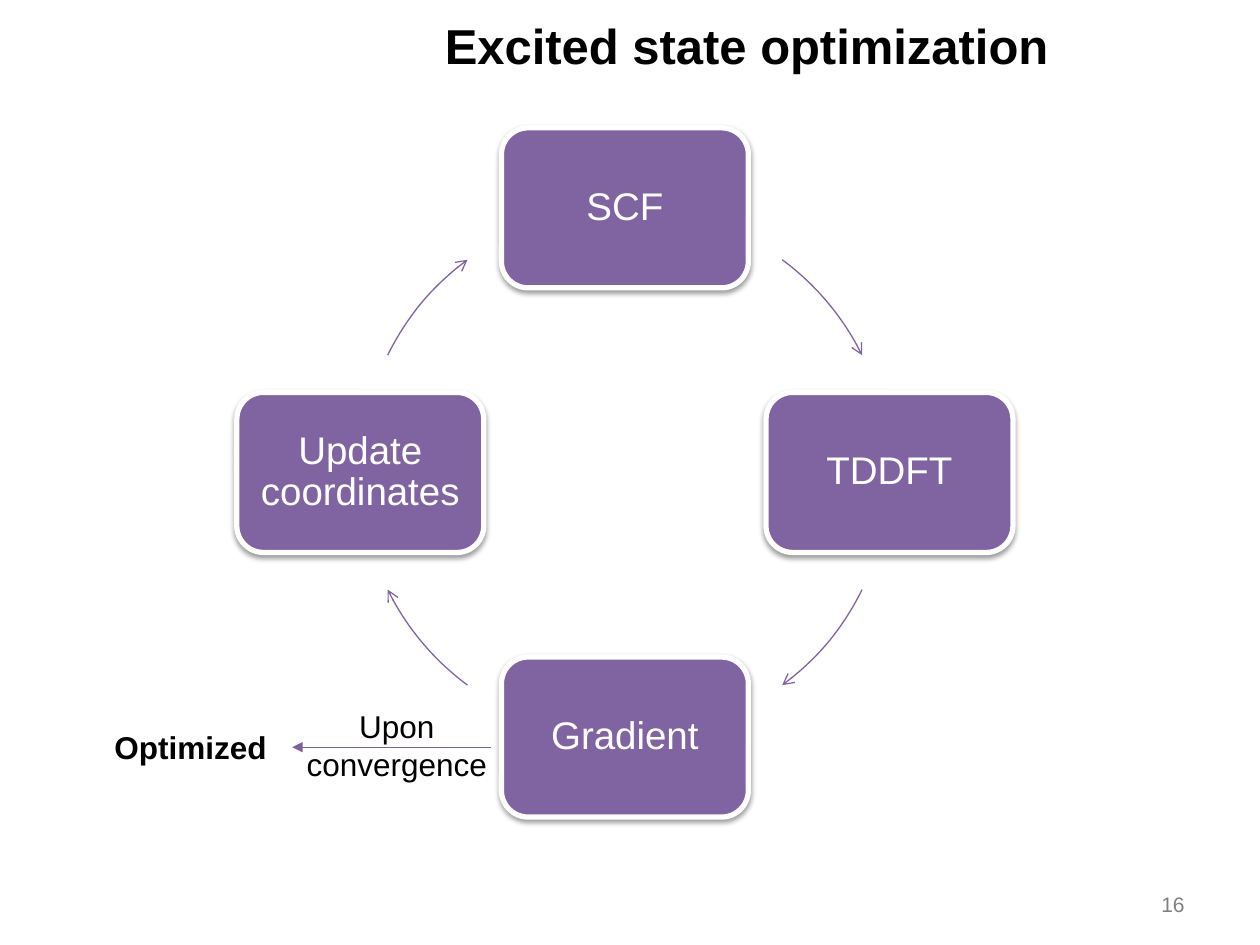
from lxml.etree import SubElement
from pptx import Presentation
from pptx.dml.color import RGBColor
from pptx.enum.shapes import MSO_CONNECTOR, MSO_SHAPE
from pptx.enum.text import MSO_ANCHOR, PP_ALIGN
from pptx.oxml import parse_xml
from pptx.oxml.ns import nsdecls, qn
from pptx.util import Inches, Pt

PURPLE = RGBColor(0x80, 0x64, 0xA2)
VIOLET = RGBColor(0x7D, 0x60, 0xA0)
WHITE = RGBColor(0xFF, 0xFF, 0xFF)
BLACK = RGBColor(0x00, 0x00, 0x00)
GRAY = RGBColor(0x80, 0x80, 0x80)

# Cycle geometry, in inches
MID_X, MID_Y, RADIUS = 4.96, 3.75, 2.1
BOX_W, BOX_H = 1.96, 1.27
STEPS = [("SCF", 0, -1), ("TDDFT", 1, 0),
         ("Gradient", 0, 1), ("Update coordinates", -1, 0)]
ARCS = [(306.5, 333.7), (26.3, 53.5), (126.5, 153.7), (206.3, 233.5)]


def write(shape, text, size=18, color=BLACK, bold=False, align=PP_ALIGN.LEFT,
          anchor=MSO_ANCHOR.TOP, wrap=True, inset=None, spacing=None):
    """Put formatted text into a shape."""
    frame = shape.text_frame
    frame.word_wrap = wrap
    frame.vertical_anchor = anchor
    if inset is not None:
        frame.margin_left = frame.margin_right = Inches(inset)
        frame.margin_top = frame.margin_bottom = Inches(inset)
    frame.text = text
    para = frame.paragraphs[0]
    para.alignment = align
    if spacing:
        para.line_spacing = spacing
    font = para.runs[0].font
    font.name, font.size, font.bold = "Arial", Pt(size), bold
    font.color.rgb = color


def add_label(slide, text, left, top, width, height, **style):
    area = [Inches(v) for v in (left, top, width, height)]
    write(slide.shapes.add_textbox(*area), text, **style)


def add_title(slide, text):
    title = slide.shapes.title
    title.left, title.top = Inches(3.43), Inches(0)
    title.width, title.height = Inches(6.07), Inches(0.71)
    write(title, text, size=28, bold=True, anchor=MSO_ANCHOR.MIDDLE)


def set_line(shape, color, kind):
    """Style a thin line with an arrowhead at its end."""
    shape.line.color.rgb = color
    shape.line.width = Pt(0.75)
    head = SubElement(shape.line._get_or_add_ln(), qn("a:tailEnd"))
    head.set("type", kind)


def add_step(slide, text, col, row):
    left = MID_X + col * RADIUS - BOX_W / 2
    top = MID_Y + row * RADIUS - BOX_H / 2
    box = slide.shapes.add_shape(
        MSO_SHAPE.ROUNDED_RECTANGLE,
        Inches(left), Inches(top), Inches(BOX_W), Inches(BOX_H))
    box.fill.solid()
    box.fill.fore_color.rgb = PURPLE
    box.line.color.rgb = WHITE
    box.line.width = Pt(3)
    # Soft shadow below the box
    box.shadow.inherit = False
    box._element.spPr.find(qn("a:effectLst")).append(parse_xml(
        f'<a:outerShdw {nsdecls("a")} blurRad="{Pt(3.1)}" dist="{Pt(1.6)}" '
        'dir="5400000" rotWithShape="0"><a:srgbClr val="000000">'
        '<a:alpha val="38000"/></a:srgbClr></a:outerShdw>'))
    # The rounded corners already inset the text area
    write(box, text, size=22, color=WHITE, align=PP_ALIGN.CENTER,
          anchor=MSO_ANCHOR.MIDDLE, inset=0.05, spacing=0.9)


def add_arc(slide, start, end):
    """Draw a clockwise arc between two angles in degrees."""
    side = Inches(2 * RADIUS)
    arc = slide.shapes.add_shape(
        MSO_SHAPE.ARC, Inches(MID_X - RADIUS), Inches(MID_Y - RADIUS),
        side, side)
    # Angles are stored in 1/60000 degree, adjustments in 1/100000
    arc.adjustments[0] = start * 0.6
    arc.adjustments[1] = end * 0.6
    arc.fill.background()
    set_line(arc, PURPLE, "arrow")
    arc.shadow.inherit = False


def add_arrow(slide, x1, x2, y):
    arrow = slide.shapes.add_connector(
        MSO_CONNECTOR.STRAIGHT, Inches(x1), Inches(y), Inches(x2), Inches(y))
    set_line(arrow, VIOLET, "triangle")
    SubElement(arrow._element.spPr, qn("a:effectLst"))


def main():
    deck = Presentation()
    deck.slide_width, deck.slide_height = Inches(10), Inches(7.5)
    slide = deck.slides.add_slide(deck.slide_layouts[5])

    # Title and page number
    add_title(slide, "Excited state optimization")
    add_label(slide, "16", 8.72, 7, 0.78, 0.35, size=12, color=GRAY,
              align=PP_ALIGN.RIGHT, anchor=MSO_ANCHOR.MIDDLE)

    # Optimization cycle
    for step, arc in zip(STEPS, ARCS):
        add_step(slide, *step)
        add_arc(slide, *arc)

    # Exit from the cycle
    add_arrow(slide, 3.9, 2.32, 5.93)
    add_label(slide, "Upon convergence", 2.32, 5.56, 1.66, 0.71,
              align=PP_ALIGN.CENTER)
    add_label(slide, "Optimized", 0.81, 5.73, 1.42, 0.4, bold=True, wrap=False)

    deck.save("out.pptx")


if __name__ == "__main__":
    main()
